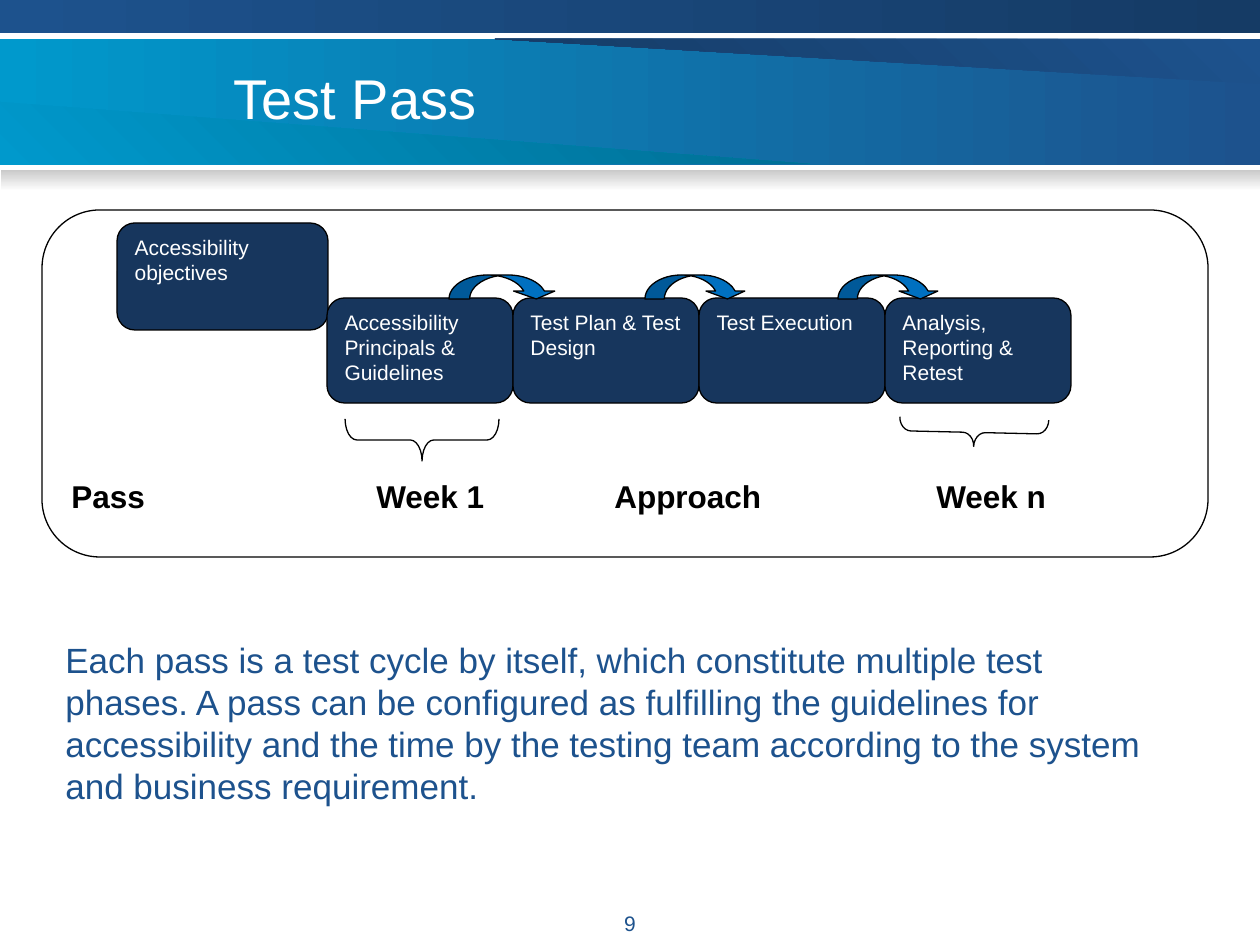
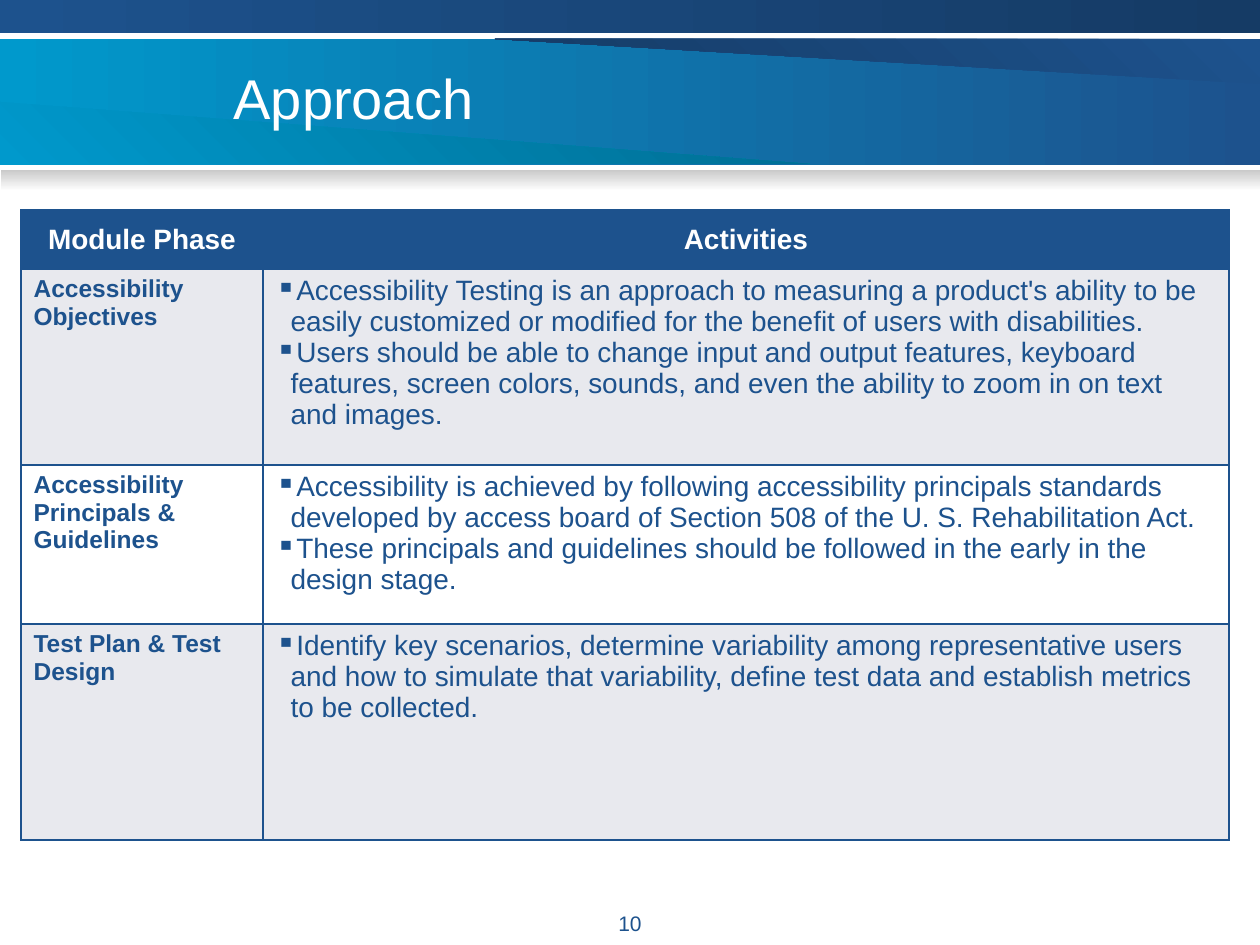
from lxml import etree
from pptx import Presentation
from pptx.dml.color import RGBColor
from pptx.enum.shapes import MSO_SHAPE
from pptx.enum.text import MSO_ANCHOR, PP_ALIGN
from pptx.oxml.ns import qn
from pptx.util import Pt

PX = 7257  # EMU in one px, 126 px to the inch
FONT = "Arial"
BLUE, CYAN, NAVY, TEAL = "1D528D", "0099CC", "153B65", "006D92"
WHITE, BLACK, STEP_FILL, ARROW_FILL = "FFFFFF", "000000", "17365D", "0070C0"
ROW_GREY, SHADE_GREY = "E8E9EE", "CACACA"
color = RGBColor.from_string


def paint(shape, fill=None, line=None, angle=0):
    """Fill with one colour, a pair of gradient colours, or nothing."""
    shape.shadow.inherit = False
    if fill is None:
        shape.fill.background()
    elif isinstance(fill, tuple):
        shape.fill.gradient()
        shape.fill.gradient_angle = angle
        for stop, stop_color in zip(shape.fill.gradient_stops, fill):
            stop.color.rgb = color(stop_color)
    else:
        shape.fill.solid()
        shape.fill.fore_color.rgb = color(fill)
    if line:
        shape.line.color.rgb = color(line)
        shape.line.width = Pt(0.75)
    else:
        shape.line.fill.background()


def write(frame, text, size, text_color=BLUE, bold=False, align=PP_ALIGN.LEFT,
          anchor=MSO_ANCHOR.TOP, bullet=None, tabs=()):
    """Write one paragraph for each line of the text."""
    frame.word_wrap = True
    frame.vertical_anchor = anchor
    for index, line in enumerate(text.split("\n")):
        paragraph = frame.add_paragraph() if index else frame.paragraphs[0]
        properties = paragraph._p.get_or_add_pPr()
        if bullet:
            properties.set("marL", str(15 * PX))
            properties.set("indent", str(-15 * PX))
            etree.SubElement(properties, qn("a:buChar")).set("char", bullet)
        if tabs:
            tab_list = etree.SubElement(properties, qn("a:tabLst"))
            for position in tabs:
                tab = etree.SubElement(tab_list, qn("a:tab"))
                tab.set("pos", str(position * PX))
                tab.set("algn", "l")
        paragraph.alignment = align
        run = paragraph.add_run()
        run.text = line
        run.font.name = FONT
        run.font.size = Pt(size)
        run.font.bold = bold
        run.font.color.rgb = color(text_color)


presentation = Presentation()
presentation.slide_width, presentation.slide_height = 1260 * PX, 945 * PX
layout = presentation.slide_layouts[5]
pass_slide = presentation.slides.add_slide(layout)
approach_slide = presentation.slides.add_slide(layout)

# Header bands, drawn once and moved to the shared layout
bands = []
for box, gradient, angle in [
    ((0, 39, 1261, 126), (CYAN, BLUE), 0),
    ((0, 0, 1260, 33), (BLUE, NAVY), 0),
    ((1, 170, 1259, 21), (SHADE_GREY, WHITE), 270),
]:
    band = pass_slide.shapes.add_shape(MSO_SHAPE.RECTANGLE, *[n * PX for n in box])
    paint(band, gradient, angle=angle)
    bands.append(band)
for points, gradient, angle in [
    ([(495, 39), (1261, 39), (1261, 84)], (BLUE, NAVY), 225),
    ([(0, 102), (810, 164), (0, 164)], (CYAN, TEAL), 45),
]:
    builder = pass_slide.shapes.build_freeform(*points[0], scale=PX)
    builder.add_line_segments(points[1:])
    wedge = builder.convert_to_shape()
    paint(wedge, gradient, angle=angle)
    bands.append(wedge)
for position, band in enumerate(bands, start=2):
    layout.shapes.element.insert(position, band.element)

# Titles and page numbers
for slide, title_text, number in [
    (pass_slide, "Test Pass", "9"),
    (approach_slide, "Approach", "10"),
]:
    title = slide.shapes.title
    title.left, title.top, title.width, title.height = [n * PX for n in (221, 38, 1061, 119)]
    write(title.text_frame, title_text, 32, WHITE, anchor=MSO_ANCHOR.MIDDLE)
    page_number = slide.shapes.add_textbox(*[n * PX for n in (483, 904, 294, 34)])
    write(page_number.text_frame, number, 12, align=PP_ALIGN.CENTER)

# Test pass: description and diagram
description = pass_slide.shapes.add_textbox(*[n * PX for n in (53, 632, 1124, 180)])
write(description.text_frame,
      "Each pass is a test cycle by itself, which constitute multiple test phases. "
      "A pass can be configured as fulfilling the guidelines for accessibility and the "
      "time by the testing team according to the system and business requirement.", 20)

panel = pass_slide.shapes.add_shape(MSO_SHAPE.ROUNDED_RECTANGLE,
                                    *[n * PX for n in (42, 210, 1166, 347)])
paint(panel, WHITE, BLACK)
panel.text_frame.margin_bottom = 25 * PX
write(panel.text_frame, "Pass\tWeek 1\tApproach\tWeek n", 18, BLACK, bold=True,
      anchor=MSO_ANCHOR.BOTTOM, tabs=(305, 543, 865))

steps = [("Accessibility objectives", (117, 223, 211, 107))]
for index, step_text in enumerate([
    "Accessibility Principals & Guidelines", "Test Plan & Test Design",
    "Test Execution", "Analysis, Reporting & Retest",
]):
    steps.append((step_text, (327 + 186 * index, 298, 186, 105)))
for step_text, box in steps:
    step = pass_slide.shapes.add_shape(MSO_SHAPE.ROUNDED_RECTANGLE, *[n * PX for n in box])
    paint(step, STEP_FILL, BLACK)
    write(step.text_frame, step_text, 12, WHITE)

for box, rotation, curl in [
    ((401, 363, 42, 154), 90, 0.28),
    ((960, 358, 28, 149), 91.3, 0.41),
]:
    brace = pass_slide.shapes.add_shape(MSO_SHAPE.RIGHT_BRACE, *[n * PX for n in box])
    paint(brace, line=BLACK)
    brace.rotation = rotation
    brace.adjustments[0] = curl

for left, width, thickness in [(449, 108, 0.86), (645, 102, 0.81), (838, 102, 0.81)]:
    arrow = pass_slide.shapes.add_shape(MSO_SHAPE.CURVED_DOWN_ARROW,
                                        *[n * PX for n in (left, 275, width, 24)])
    paint(arrow, ARROW_FILL, BLACK)
    for index, value in enumerate((thickness, 2 * thickness, 0.33)):
        arrow.adjustments[index] = value

# Approach: table of phases
phases = [
    ("Module Phase", "Activities"),
    ("Accessibility\nObjectives",
     "Accessibility Testing is an approach to measuring a product's ability to be easily "
     "customized or modified for the benefit of users with disabilities.\n"
     "Users should be able to change input and output features, keyboard features, screen "
     "colors, sounds, and even the ability to zoom in on text and images."),
    ("Accessibility Principals & Guidelines",
     "Accessibility is achieved by following accessibility principals standards developed "
     "by access board of Section 508 of the U. S. Rehabilitation Act.\n"
     "These principals and guidelines should be followed in the early in the design stage."),
    ("Test Plan & Test Design",
     "Identify key scenarios, determine variability among representative users and how to "
     "simulate that variability, define test data and establish metrics to be collected."),
]
table = approach_slide.shapes.add_table(
    len(phases), 2, *[n * PX for n in (21, 210, 1208, 630)]).table
for column, width in zip(table.columns, (242, 966)):
    column.width = width * PX
for row, height in zip(table.rows, (59, 196, 159, 216)):
    row.height = height * PX

for row_index, phase in enumerate(phases):
    for column_index, cell_text in enumerate(phase):
        cell = table.cell(row_index, column_index)
        if row_index == 0:
            fill = BLUE
            write(cell.text_frame, cell_text, 16, WHITE, bold=True, align=PP_ALIGN.CENTER)
            cell.vertical_anchor = MSO_ANCHOR.MIDDLE
        else:
            fill = ROW_GREY if row_index % 2 else WHITE
            if column_index == 0:
                write(cell.text_frame, cell_text, 14, bold=True)
            else:
                write(cell.text_frame, cell_text, 16, bullet="▪")
        cell_properties = cell._tc.get_or_add_tcPr()
        for side in ("a:lnL", "a:lnR", "a:lnT", "a:lnB"):
            border = etree.SubElement(cell_properties, qn(side), w=str(Pt(1)))
            border_fill = etree.SubElement(border, qn("a:solidFill"))
            etree.SubElement(border_fill, qn("a:srgbClr"), val=BLUE)
        cell.fill.solid()
        cell.fill.fore_color.rgb = color(fill)

presentation.save("out.pptx")
